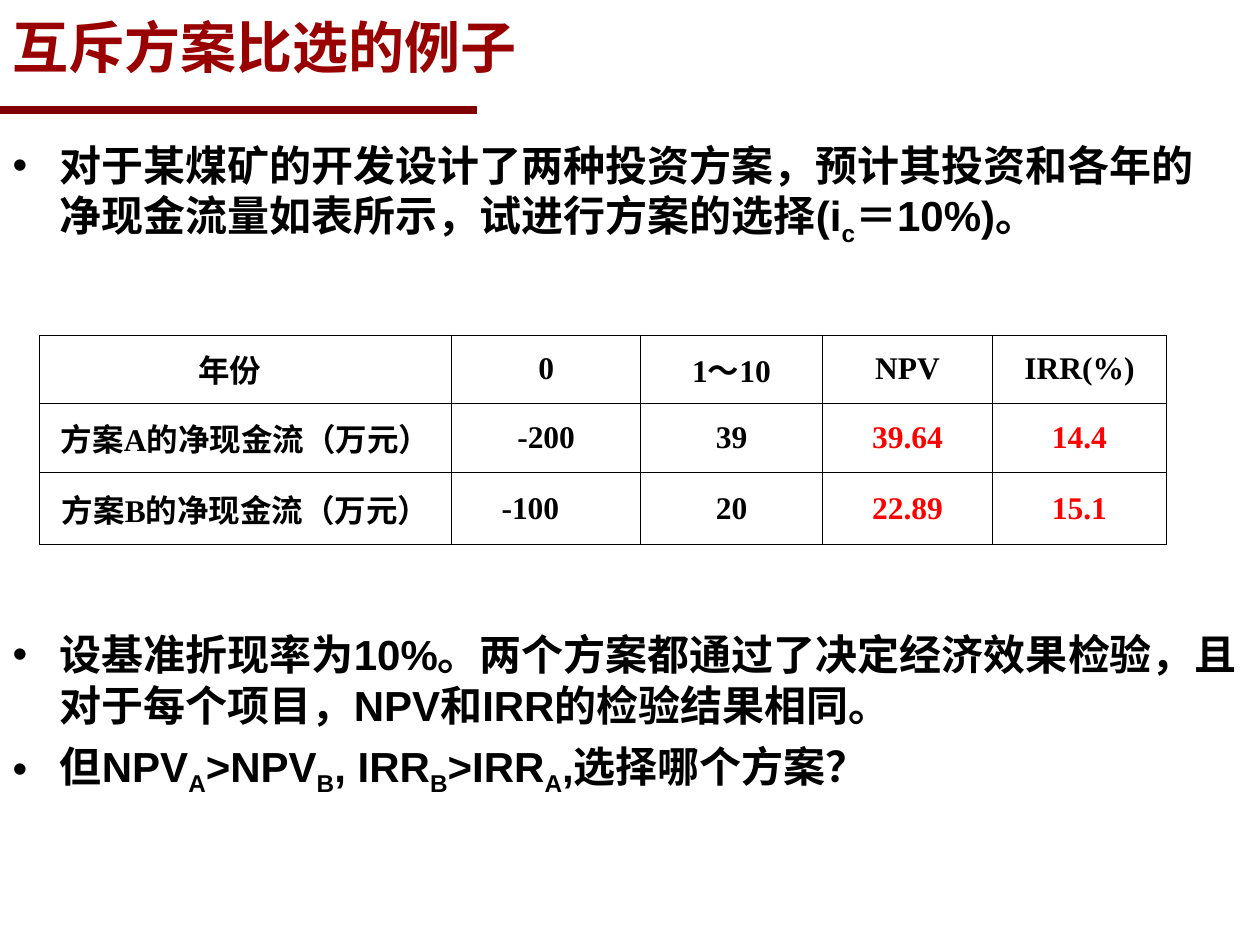
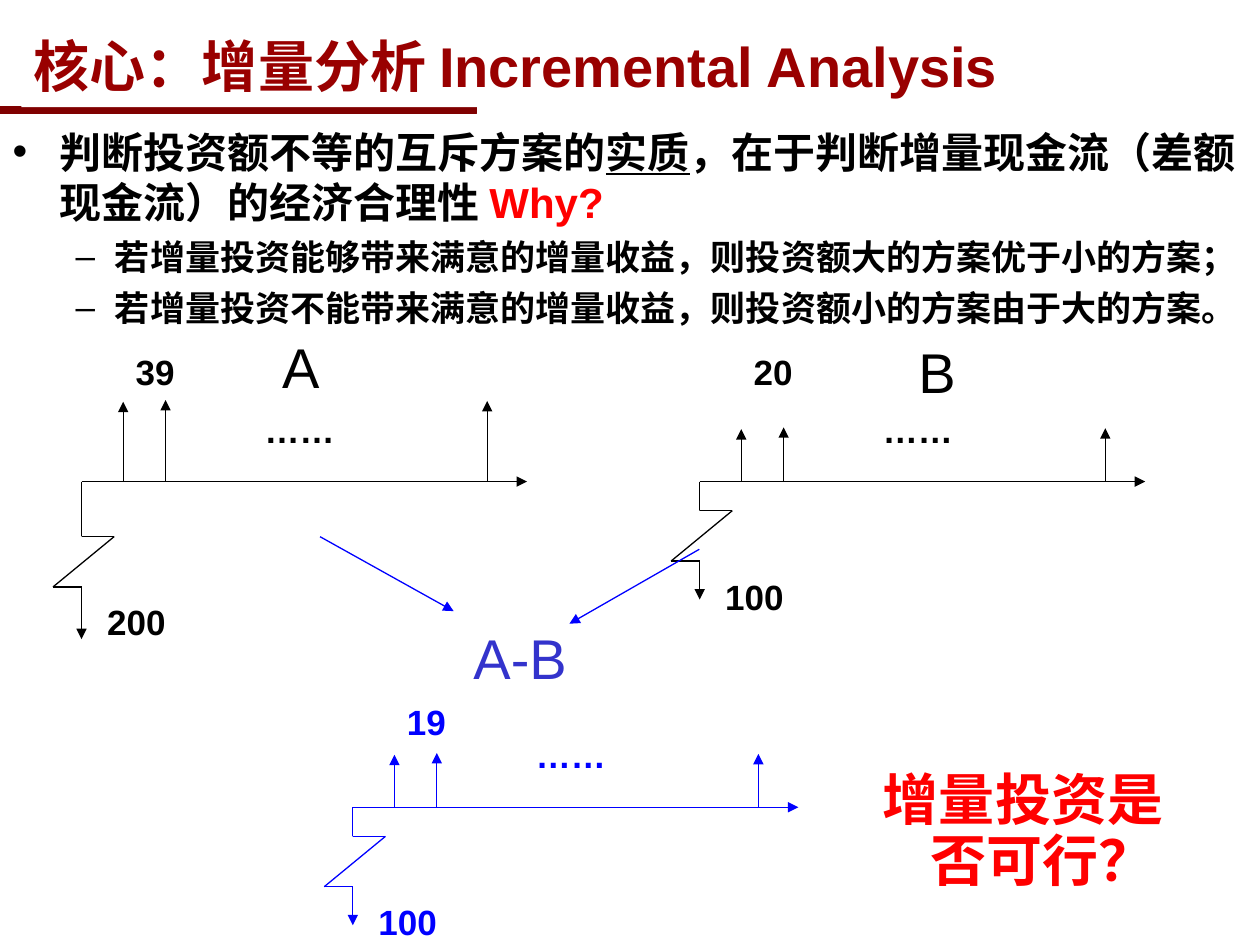
"""Build two slides on choosing between mutually exclusive projects."""
import dataclasses

import lxml.etree
import pptx
import pptx.dml.color
import pptx.enum.shapes
import pptx.enum.text
import pptx.oxml.ns
import pptx.util

Pt = pptx.util.Pt
qn = pptx.oxml.ns.qn
ALIGN = pptx.enum.text.PP_ALIGN
ANCHOR = pptx.enum.text.MSO_ANCHOR


@dataclasses.dataclass(frozen=True)
class Theme:
    """Colours, fonts and type sizes of the deck."""
    band: str = "800000"
    title: str = "990000"
    ink: str = "000000"
    paper: str = "FFFFFF"
    alert: str = "FF0000"
    blue: str = "0000FF"
    violet: str = "3333CC"
    sans: str = "Arial"
    serif: str = "Times New Roman"
    large: int = 32
    body: int = 24
    small: int = 20
    cell: int = 18
    rule: float = 0.75


THEME = Theme()
LEVELS = (
    dict(mark="•", left=27, hang=27, gap=6, size=THEME.body),
    dict(mark="–", left=58.5, hang=22.5, gap=5, size=THEME.small),
)


def rgb(code):
    """Turn a hex code into a colour."""
    return pptx.dml.color.RGBColor.from_string(code)


def child(parent, tag, **attrs):
    """Append an XML element with the given attributes."""
    return lxml.etree.SubElement(parent, qn(tag), attrs)


def paint(shape, code):
    """Give a shape a solid fill."""
    shape.fill.solid()
    shape.fill.fore_color.rgb = rgb(code)


def place(shape, box):
    """Move a shape to left, top, width and height."""
    shape.left, shape.top, shape.width, shape.height = map(Pt, box)


def write(para, text, size, ink=THEME.ink, face=THEME.sans, bold=True, line=False, sub=False):
    """Add one run of text."""
    run = para.add_run()
    run.text = text
    font = run.font
    font.name, font.size, font.bold = face, Pt(size), bold
    font.color.rgb = rgb(ink)
    if line:
        font.underline = True
    if sub:
        run._r.get_or_add_rPr().set("baseline", "-25000")


def indent(para, left, hang):
    """Set a hanging indent and return the paragraph properties."""
    props = para._p.get_or_add_pPr()
    props.set("marL", str(Pt(left)))
    props.set("indent", str(-Pt(hang)))
    return props


def add_band(deck, slide):
    """Draw the title rule and move it to the slide master."""
    band = slide.shapes.add_shape(pptx.enum.shapes.MSO_SHAPE.RECTANGLE,
                                  Pt(-0.7), Pt(61.2), Pt(272.9), Pt(3.6))
    paint(band, THEME.band)
    band.line.color.rgb = rgb(THEME.band)
    band.line.width = Pt(THEME.rule)
    band.shadow.inherit = False
    deck.slide_master.shapes[0].element.addprevious(band.element)


def set_title(slide, box, text):
    """Place and fill the title."""
    title = slide.shapes.title
    place(title, box)
    paint(title, THEME.paper)
    frame = title.text_frame
    frame.auto_size = pptx.enum.text.MSO_AUTO_SIZE.NONE
    frame.vertical_anchor = ANCHOR.MIDDLE
    para = frame.paragraphs[0]
    para.alignment = ALIGN.LEFT
    write(para, text, THEME.large)
    para.runs[0].font.color.rgb = rgb(THEME.title)


def set_list(holder, box, items, pitch=1.0):
    """Fill a body placeholder with (level, runs) items."""
    place(holder, box)
    paint(holder, THEME.paper)
    frame = holder.text_frame
    frame.auto_size = pptx.enum.text.MSO_AUTO_SIZE.NONE
    frame.vertical_anchor = ANCHOR.TOP
    for count, (level, runs) in enumerate(items):
        para = frame.add_paragraph() if count else frame.paragraphs[0]
        look = LEVELS[level]
        para.level = level
        props = indent(para, look["left"], look["hang"])
        child(child(props, "a:buClr"), "a:srgbClr", val=THEME.ink)
        child(props, "a:buFont", typeface=THEME.sans)
        child(props, "a:buChar", char=look["mark"])
        para.line_spacing = pitch
        para.space_before = Pt(look["gap"] if count else 0)
        para.alignment = ALIGN.LEFT
        for text, style in runs:
            write(para, text, look["size"], **style)


def add_label(shapes, box, text, size, ink=THEME.ink, bold=True, hang=0):
    """Add a text box with one run."""
    label = shapes.add_textbox(*map(Pt, box))
    frame = label.text_frame
    frame.word_wrap = True
    para = frame.paragraphs[0]
    indent(para, hang, hang)
    para.line_spacing = 0.9
    write(para, text, size, ink, bold=bold)


def add_line(shapes, start, end, ink, arrow=True):
    """Draw a straight line, with an arrowhead if asked."""
    line = shapes.add_connector(pptx.enum.shapes.MSO_CONNECTOR.STRAIGHT,
                                *map(Pt, (*start, *end)))
    line.line.color.rgb = rgb(ink)
    line.line.width = Pt(THEME.rule)
    props = line.element.find(qn("p:spPr"))
    if arrow:
        child(props.find(qn("a:ln")), "a:tailEnd", type="triangle")
    child(props, "a:effectLst")


def add_flow(slide, x, y, income, cost, height, lift, cut, depth, ink=THEME.ink):
    """Draw a cash flow diagram with its origin at x, y."""
    shapes = slide.shapes.add_group_shape().shapes
    add_line(shapes, (x, y), (x + 254.6, y), ink)
    add_line(shapes, (x, y), (x, y + depth), ink)
    patch = shapes.add_shape(pptx.enum.shapes.MSO_SHAPE.RECTANGLE,
                             Pt(x - 19), Pt(y + cut), Pt(37.4), Pt(28.8))
    paint(patch, THEME.paper)
    patch.line.fill.background()
    patch.shadow.inherit = False
    low = y + cut + 28.8
    bends = [(x, y + cut), (x + 18.7, y + cut), (x - 16.3, low), (x, low)]
    for start, end in zip(bends, bends[1:]):
        add_line(shapes, start, end, ink, arrow=False)
    for step, rise in ((23.8, 0), (48, 1), (231.8, 0.5)):
        add_line(shapes, (x + step, y), (x + step, y - height - rise), ink)
    labels = ((7.5, cut + 36, 49, cost), (23.8, -lift, 49, income), (97.6, -42.8, 79.2, "……"))
    for dx, dy, width, text in labels:
        add_label(shapes, (x + dx, y + dy, width, 28.8), text, THEME.small, ink)


def add_grid(slide, spot, widths, heights, rows):
    """Add a ruled table whose result figures are red."""
    grid = slide.shapes.add_table(len(rows), len(widths), *map(Pt, spot),
                                  Pt(sum(widths)), Pt(sum(heights))).table
    grid.first_row = grid.horz_banding = False
    for col, width in zip(grid.columns, widths):
        col.width = Pt(width)
    for down, (row, height, texts) in enumerate(zip(grid.rows, heights, rows)):
        row.height = Pt(height)
        for across, (cell, text) in enumerate(zip(row.cells, texts)):
            props = cell._tc.get_or_add_tcPr()
            for side in "LRTB":
                edge = child(props, f"a:ln{side}", w=str(Pt(0.45)))
                child(child(edge, "a:solidFill"), "a:srgbClr", val=THEME.ink)
            cell.fill.background()
            cell.vertical_anchor = ANCHOR.MIDDLE
            if text in ("年份", "-100"):
                cell.margin_right = Pt(7.2 + THEME.cell)
            para = cell.text_frame.paragraphs[0]
            para.alignment = ALIGN.CENTER
            ink = THEME.alert if down and across > 2 else THEME.ink
            write(para, text, THEME.cell, ink, THEME.serif)


def build_case(slide):
    """Fill the slide with the worked example."""
    sub = dict(sub=True)
    set_title(slide, (0, 0.7, 702, 51.8), "互斥方案比选的例子")
    set_list(slide.placeholders[1], (0, 79.2, 694, 76.3), [
        (0, [("对于某煤矿的开发设计了两种投资方案，预计其投资和各年的净现金流量如表所示，试进行方案的选择(i", {}),
             ("c", sub), ("＝10%)。", {})]),
    ], pitch=0.9)
    add_grid(slide, (22.5, 191.5), (235.6, 108, 103.9, 97.2, 99.3), (38.9, 39.4, 41.5), [
        ("年份", "0", "1～10", "NPV", "IRR(%)"),
        ("方案A的净现金流（万元）", "-200", "39", "39.64", "14.4"),
        ("方案B的净现金流（万元）", "-100", "20", "22.89", "15.1"),
    ])
    set_list(slide.placeholders[2], (0, 355.7, 720, 159.8), [
        (0, [("设基准折现率为10%。两个方案都通过了决定经济效果检验，且对于每个项目，NPV和IRR的检验结果相同。", {})]),
        (0, [("但NPV", {}), ("A", sub), (">NPV", {}), ("B", sub), (", IRR", {}), ("B", sub),
             (">IRR", {}), ("A", sub), (",选择哪个方案？", {})]),
    ])


def build_core(slide):
    """Fill the slide on incremental analysis."""
    set_title(slide, (12.2, 13, 643.7, 48.2), "核心：增量分析 Incremental Analysis")
    set_list(slide.placeholders[1], (0, 68.4, 720, 122.4), [
        (0, [("判断投资额不等的互斥方案的", {}), ("实质", dict(line=True)),
             ("，在于判断增量现金流（差额现金流）的经济合理性 ", {}),
             ("Why?", dict(ink=THEME.alert))]),
        (1, [("若增量投资能够带来满意的增量收益，则投资额大的方案优于小的方案；", {})]),
        (1, [("若增量投资不能带来满意的增量收益，则投资额小的方案由于大的方案。", {})]),
    ])
    add_flow(slide, 46.6, 275.2, "39", "200", height=45.6, lift=75.6, cut=31.4, depth=90)
    add_flow(slide, 399.8, 275.2, "20", "100", height=30, lift=75.6, cut=16.6, depth=67.4)
    add_flow(slide, 201.6, 461.3, "19", "100", height=30, lift=61.7, cut=16.6, depth=67.4,
             ink=THEME.blue)
    shapes = slide.shapes
    for spot, width, text, ink in (((154.1, 190.8), 31, "A", THEME.ink),
                                   ((517.7, 193.7), 31, "B", THEME.ink),
                                   ((263.5, 357.1), 69.8, "A-B", THEME.violet)):
        add_label(shapes, (*spot, width, 41.8), text, THEME.large, ink, bold=False)
    add_line(shapes, (182.9, 306.7), (259.2, 349.2), THEME.blue)
    add_line(shapes, (399.6, 313.9), (325.4, 356.4), THEME.blue)
    add_label(shapes, (497.5, 437.8, 190.1, 76.3), "增量投资是否可行？", THEME.large,
              THEME.alert, hang=27)


def main():
    """Build and save the deck."""
    deck = pptx.Presentation()
    deck.slide_width, deck.slide_height = Pt(720), Pt(540)
    case = deck.slides.add_slide(deck.slide_layouts[3])
    core = deck.slides.add_slide(deck.slide_layouts[1])
    add_band(deck, case)
    build_case(case)
    build_core(core)
    deck.save("out.pptx")


if __name__ == "__main__":
    main()
